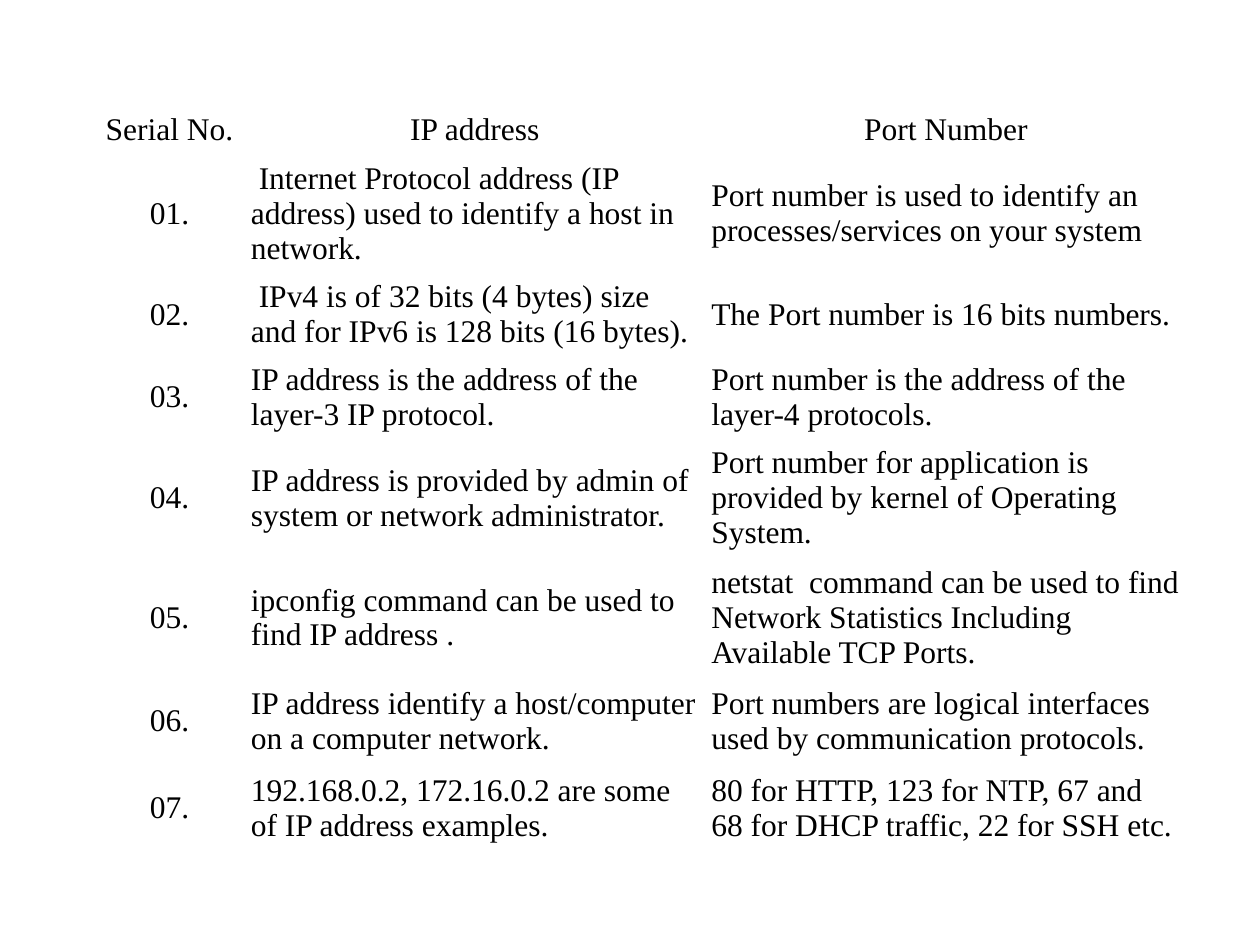
from pptx import Presentation
from pptx.dml.color import RGBColor
from pptx.enum.text import MSO_ANCHOR, PP_ALIGN
from pptx.util import Inches, Pt

BLACK = RGBColor(0, 0, 0)
WHITE = RGBColor(255, 255, 255)
FONT_NAME = "Times New Roman"
CELL_MARGIN = Inches(0.05)

COLUMN_WIDTHS = [1.19, 3.65, 3.82]
ROW_HEIGHTS = [0.38, 0.95, 0.65, 0.65, 0.95, 0.95, 0.69, 0.69]
HEADINGS = ["Serial No.", "IP address", "Port Number"]
COMPARISONS = [
    (" Internet Protocol address (IP address) used to identify a host in network.",
     "Port number is used to identify an processes/services on your system"),
    (" IPv4 is of 32 bits (4 bytes) size and for IPv6 is 128 bits (16 bytes).",
     "The Port number is 16 bits numbers."),
    ("IP address is the address of the layer-3 IP protocol.",
     "Port number is the address of the layer-4 protocols."),
    ("IP address is provided by admin of system or network administrator.",
     "Port number for application is provided by kernel of Operating System."),
    ("ipconfig command can be used to find IP address .",
     "netstat  command can be used to find Network Statistics Including Available TCP Ports."),
    ("IP address identify a host/computer on a computer network.",
     "Port numbers are logical interfaces used by communication protocols."),
    ("192.168.0.2, 172.16.0.2 are some of IP address examples.",
     "80 for HTTP, 123 for NTP, 67 and 68 for DHCP traffic, 22 for SSH etc."),
]


def write_text(cell, text, size=18, color=BLACK, alignment=PP_ALIGN.LEFT):
    """Write one formatted paragraph into a table cell."""
    paragraph = cell.text_frame.paragraphs[0]
    paragraph.alignment = alignment
    run = paragraph.add_run()
    run.text = text
    run.font.name = FONT_NAME
    run.font.size = Pt(size)
    run.font.bold = False
    run.font.color.rgb = color


def style_cell(cell):
    """Give a cell its fill, margins and vertical centring."""
    cell.fill.solid()
    cell.fill.fore_color.rgb = WHITE
    cell.vertical_anchor = MSO_ANCHOR.MIDDLE
    cell.margin_left = cell.margin_right = CELL_MARGIN
    cell.margin_top = cell.margin_bottom = CELL_MARGIN


def add_comparison_table(slide, left, top, width, height):
    """Place the table comparing IP addresses with port numbers."""
    rows = [HEADINGS] + [
        (f"{number:02d}.", *texts) for number, texts in enumerate(COMPARISONS, 1)
    ]
    table = slide.shapes.add_table(
        len(rows), len(HEADINGS), left, top, width, height
    ).table
    table.first_row = False
    table.horz_banding = False
    for column, share in zip(table.columns, COLUMN_WIDTHS):
        column.width = int(width * share / sum(COLUMN_WIDTHS))
    for row, share in zip(table.rows, ROW_HEIGHTS):
        row.height = int(height * share / sum(ROW_HEIGHTS))
    for row_index, texts in enumerate(rows):
        for column_index, text in enumerate(texts):
            cell = table.cell(row_index, column_index)
            style_cell(cell)
            centred = row_index == 0 or column_index == 0
            write_text(
                cell, text,
                alignment=PP_ALIGN.CENTER if centred else PP_ALIGN.LEFT,
            )


def main():
    """Build and save the presentation."""
    presentation = Presentation()
    presentation.slide_width = Inches(10)
    presentation.slide_height = Inches(7.5)
    slide = presentation.slides.add_slide(presentation.slide_layouts[6])
    add_comparison_table(
        slide, Inches(0.75), Inches(0.84), Inches(8.67), Inches(5.91)
    )
    presentation.save("out.pptx")


if __name__ == "__main__":
    main()
